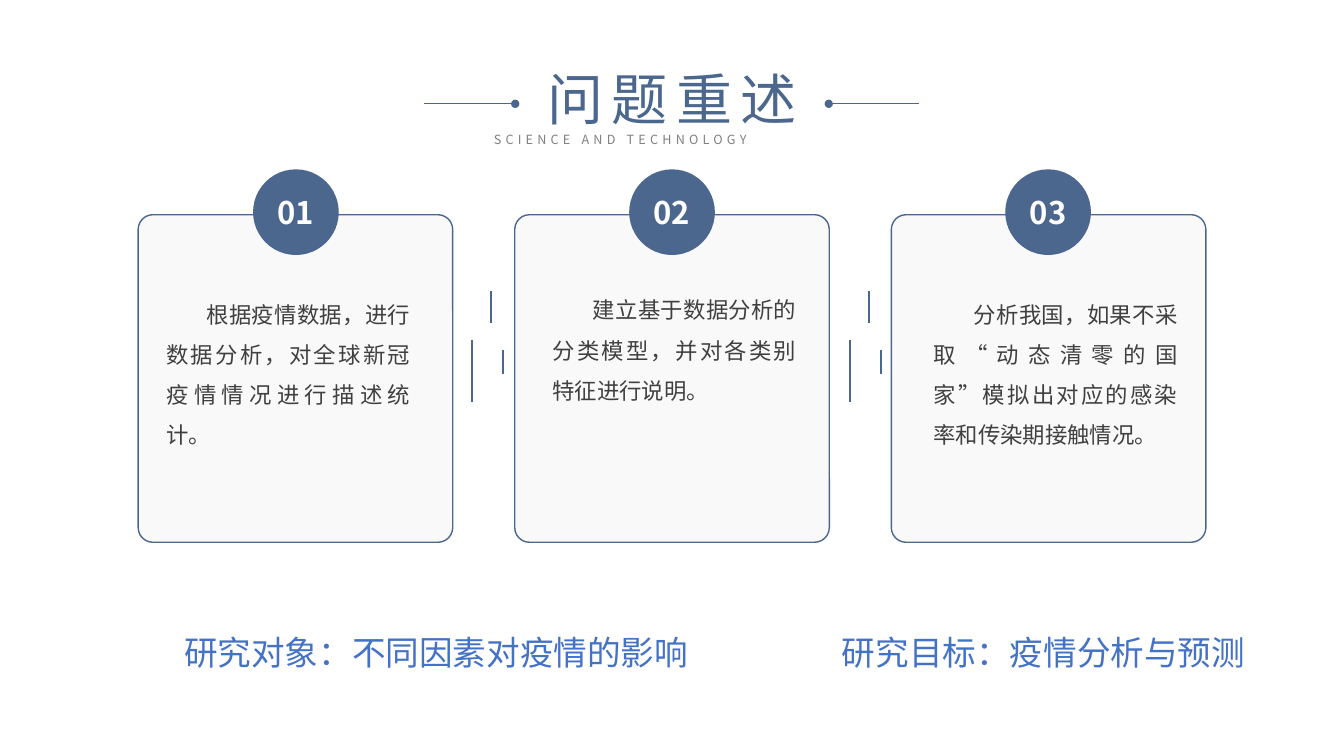
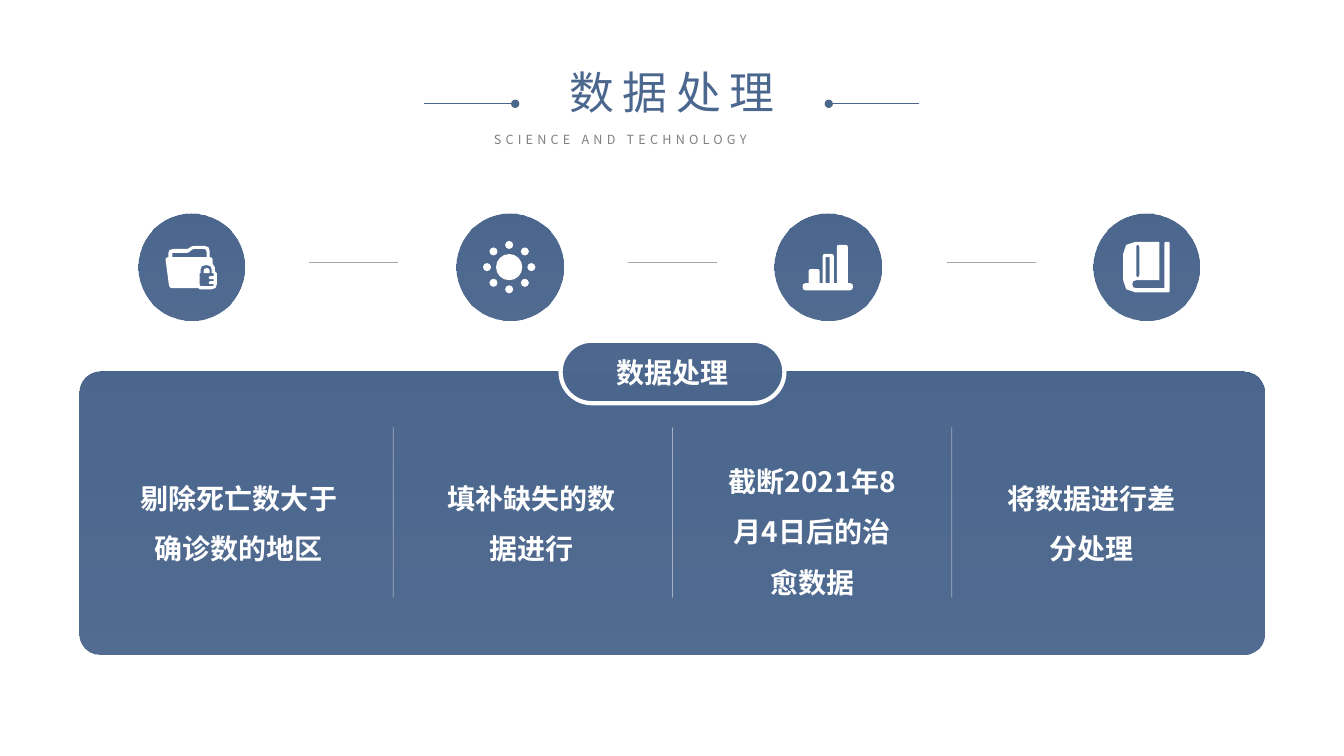
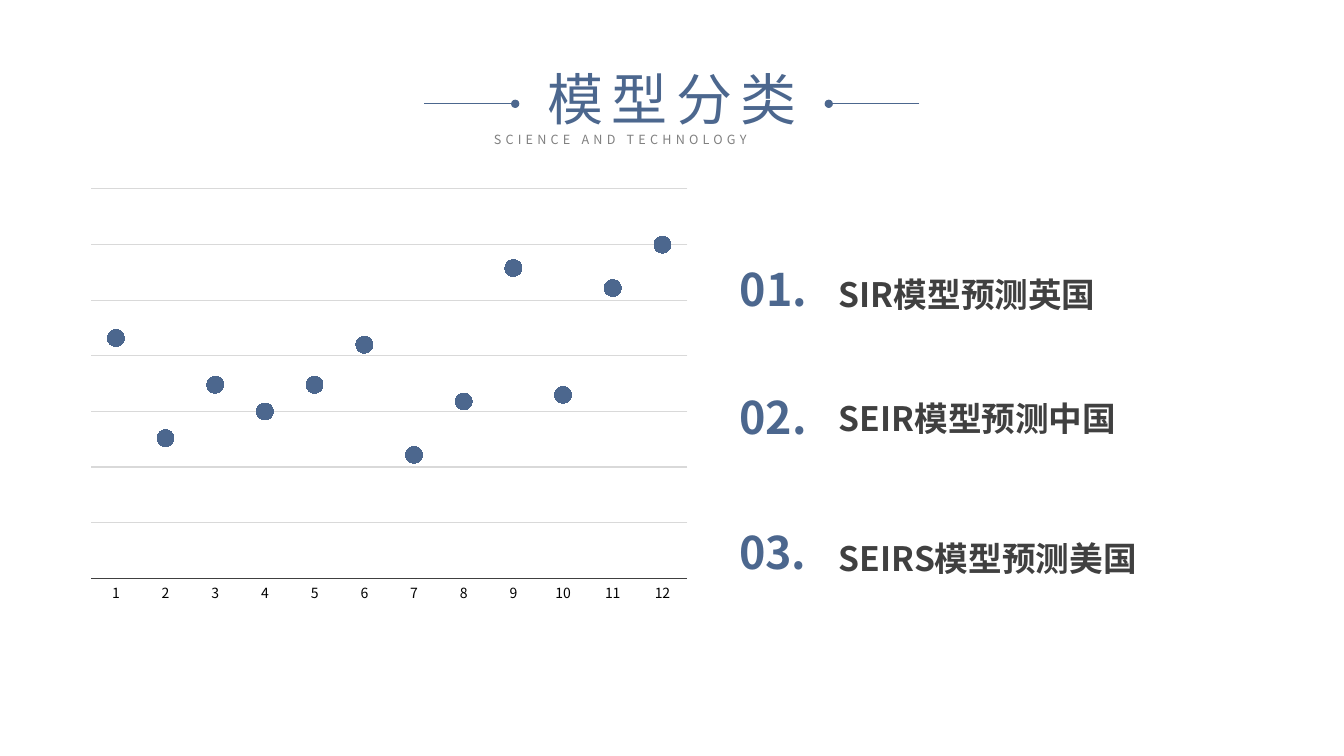
from math import cos, hypot, pi, sin

from pptx import Presentation
from pptx.chart.data import CategoryChartData
from pptx.dml.color import RGBColor
from pptx.enum.chart import XL_CHART_TYPE as ChartType
from pptx.enum.chart import XL_MARKER_STYLE as Marker
from pptx.enum.chart import XL_TICK_LABEL_POSITION as LabelPosition
from pptx.enum.chart import XL_TICK_MARK as TickMark
from pptx.enum.shapes import MSO_CONNECTOR as Connector
from pptx.enum.shapes import MSO_SHAPE as Shape
from pptx.enum.text import MSO_ANCHOR as Anchor
from pptx.enum.text import MSO_AUTO_SIZE as AutoSize
from pptx.enum.text import PP_ALIGN as Align
from pptx.oxml.ns import qn
from pptx.util import Inches, Pt

FONT = "Noto Sans CJK SC"
NAVY = "4C678E"
BLUE = "4472C4"
DARK = "404040"
GRAY = "808080"
WHITE = "FFFFFF"
TITLE_ONLY = 5


def color(hex_string):
    return RGBColor.from_string(hex_string)


def lengths(*values):
    return [Inches(value) for value in values]


def set_alpha(color_element, percent):
    alpha = color_element.makeelement(qn("a:alpha"), {"val": str(percent * 1000)})
    color_element.append(alpha)


def write(frame, spans, size, hex_string, bold=False, align=Align.CENTER,
          spacing=None, tracking=0, indent=0, anchor=Anchor.TOP, wrap=True, inset=True):
    frame.auto_size = AutoSize.NONE
    frame.word_wrap = wrap
    frame.vertical_anchor = anchor
    if not inset:
        frame.margin_left = frame.margin_right = 0
        frame.margin_top = frame.margin_bottom = 0
    para = frame.paragraphs[0]
    para.alignment = align
    if spacing:
        para.line_spacing = spacing
    if indent:
        layout = para._p.get_or_add_pPr()
        layout.set("indent", str(Inches(indent)))
        layout.set("hangingPunct", "0")
    for text, span_size in [(spans, size)] if isinstance(spans, str) else spans:
        span = para.add_run()
        span.text = text
        font = span.font
        font.size = Pt(span_size)
        font.bold = bold
        font.color.rgb = color(hex_string)
        font.name = FONT
        properties = span._r.get_or_add_rPr()
        if tracking:
            properties.set("spc", str(tracking * 100))
        properties.append(properties.makeelement(qn("a:ea"), {"typeface": FONT}))


def add_text(page, place, spans, size, hex_string, **style):
    box = page.shapes.add_textbox(*lengths(*place))
    write(box.text_frame, spans, size, hex_string, **style)


def add_panel(page, kind, place, fill, alpha=None, gradient=False,
              line=None, width=1, corner=None):
    panel = page.shapes.add_shape(kind, *lengths(*place))
    panel.shadow.inherit = False
    if corner is not None:
        panel.adjustments[0] = corner
    if gradient:
        panel.fill.gradient()
        panel.fill.gradient_angle = 270
        for stop in panel.fill.gradient_stops:
            stop.color.rgb = color(fill)
    else:
        panel.fill.solid()
        panel.fill.fore_color.rgb = color(fill)
    fill_colors = list(panel._element.spPr.iter(qn("a:srgbClr")))
    if alpha:
        set_alpha(fill_colors[-1], alpha)
    if line:
        panel.line.color.rgb = color(line)
        panel.line.width = Pt(width)
    else:
        panel.line.fill.background()
    return panel


def add_line(page, start, end, hex_string, width, alpha=None, dot=False):
    line = page.shapes.add_connector(Connector.STRAIGHT, *lengths(*start, *end))
    line.line.color.rgb = color(hex_string)
    line.line.width = Pt(width)
    properties = line._element.spPr
    if alpha:
        set_alpha(next(properties.iter(qn("a:srgbClr"))), alpha)
    if dot:
        outline = properties.find(qn("a:ln"))
        outline.append(outline.makeelement(qn("a:tailEnd"), {"type": "oval"}))
    properties.append(properties.makeelement(qn("a:effectLst"), {}))


def add_header(page, title, size):
    heading = page.shapes.title
    heading.left, heading.top, heading.width, heading.height = lengths(5.16, 0.59, 3.01, 0.77)
    write(heading.text_frame, title, size, NAVY, tracking=6)
    add_text(page, (4.8, 1.26, 3.74, 0.25), "SCIENCE AND TECHNOLOGY", 9, GRAY,
             align=Align.JUSTIFY, tracking=3)
    for outer, inner in ((4.21, 5.11), (9.12, 8.22)):
        add_line(page, (outer, 1.03), (inner, 1.03), NAVY, 0.5, dot=True)


def rounded(corners):
    points = []
    for index, (x, y, radius) in enumerate(corners):
        if not radius:
            points.append((x, y))
            continue
        ends = []
        for near_x, near_y, _ in (corners[index - 1], corners[(index + 1) % len(corners)]):
            side = hypot(near_x - x, near_y - y)
            share = min(radius / side, 0.5)
            ends.append((x + (near_x - x) * share, y + (near_y - y) * share))
        (ax, ay), (bx, by) = ends
        points += [(ax, ay), ((ax + 2 * x + bx) / 4, (ay + 2 * y + by) / 4), (bx, by)]
    return points


def circle(x, y, radius, steps):
    angles = [2 * pi * step / steps for step in range(steps)]
    return [(x + radius * cos(angle), y + radius * sin(angle)) for angle in angles]


def add_icon(page, contours):
    builder = None
    for contour in contours:
        first, *rest = [lengths(*point) for point in contour]
        if builder is None:
            builder = page.shapes.build_freeform(*first, scale=1.0)
        else:
            builder.move_to(*first)
        builder.add_line_segments(rest, close=True)
    icon = builder.convert_to_shape()
    icon.shadow.inherit = False
    icon.fill.solid()
    icon.fill.fore_color.rgb = color(WHITE)
    icon.line.fill.background()


def folder_icon():
    folder = [(1.67, 2.55, 0), (1.67, 2.47, 0.05), (1.87, 2.47, 0.02), (1.9, 2.44, 0.03),
              (2.08, 2.44, 0.05), (2.08, 2.55, 0), (2.11, 2.56, 0.02), (2.11, 2.62, 0),
              (2.13, 2.65, 0), (2.13, 2.69, 0), (2.15, 2.71, 0), (2.15, 2.87, 0.05),
              (1.98, 2.87, 0), (1.97, 2.86, 0), (1.68, 2.86, 0.03), (1.64, 2.56, 0.02)]
    flap = [(1.71, 2.55, 0), (1.71, 2.51, 0), (1.87, 2.51, 0.02),
            (1.91, 2.47, 0.02), (2.05, 2.47, 0.03), (2.05, 2.55, 0)]
    lock = [(1.98, 2.71, 0), (1.99, 2.71, 0), (1.99, 2.63, 0.06), (2.1, 2.63, 0.06),
            (2.1, 2.71, 0), (2.12, 2.71, 0), (2.12, 2.74, 0), (2.07, 2.74, 0.02),
            (2.07, 2.77, 0.02), (2.12, 2.77, 0), (2.12, 2.79, 0), (2.07, 2.79, 0.02),
            (2.07, 2.82, 0.02), (2.12, 2.82, 0), (2.12, 2.84, 0.02), (1.98, 2.84, 0.02)]
    shackle = [(2.02, 2.71, 0), (2.02, 2.66, 0.03), (2.08, 2.66, 0.03), (2.08, 2.71, 0)]
    return [rounded(part) for part in (folder, flap, lock, shackle)]


def sun_icon():
    x, y = 5.05, 2.65
    rays = [circle(x + 0.22 * cos(turn * pi / 4), y + 0.22 * sin(turn * pi / 4), 0.04, 8)
            for turn in range(8)]
    return [circle(x, y, 0.13, 16)] + rays


def bars_icon():
    outline = [(7.96, 2.81, 0.03)]
    for left, top in ((8.02, 2.67), (8.16, 2.52), (8.3, 2.43)):
        right = left + 0.11
        outline += [(left, 2.81, 0), (left, top, 0.02), (right, top, 0.02), (right, 2.81, 0)]
    outline += [(8.46, 2.81, 0.03), (8.46, 2.88, 0.03), (7.96, 2.88, 0.03)]
    slot = [(8.19, 2.55, 0), (8.23, 2.55, 0), (8.23, 2.81, 0), (8.19, 2.81, 0)]
    return [rounded(outline), rounded(slot)]


def book_icon():
    cover = [(11.6, 2.4, 0.01), (11.55, 2.4, 0.01), (11.55, 2.86, 0), (11.23, 2.86, 0.04),
             (11.23, 2.78, 0.04), (11.5, 2.78, 0.01), (11.5, 2.4, 0.01), (11.14, 2.4, 0.12),
             (11.14, 2.9, 0.12), (11.6, 2.9, 0.01)]
    spine = [(11.27, 2.43, 0.02), (11.3, 2.43, 0.02), (11.3, 2.75, 0.02), (11.27, 2.75, 0.02)]
    return [rounded(cover), rounded(spine)]


def build_problem(page):
    add_header(page, "问题重述", 40)
    cards = [
        (1.65, 2.85, 1.57, "根据疫情数据，进行数据分析，对全球新冠疫情情况进行描述统计。"),
        (5.48, 2.81, 1.16, "建立基于数据分析的分类模型，并对各类别特征进行说明。"),
        (9.26, 2.85, 1.57, "分析我国，如果不采取“动态清零的国家”模拟出对应的感染率和传染期接触情况。"),
    ]
    for index, (text_left, text_top, text_height, text) in enumerate(cards):
        add_panel(page, Shape.ROUNDED_RECTANGLE, (1.37 + 3.735 * index, 2.13, 3.12, 3.25),
                  "F2F2F2", alpha=44, line=NAVY, corner=0.047)
        badge = add_panel(page, Shape.OVAL, (2.51 + 3.73 * index, 1.68, 0.85, 0.85), NAVY)
        write(badge.text_frame, f"{index + 1:02}", 22.2, WHITE, bold=True, anchor=Anchor.MIDDLE)
        add_text(page, (text_left, text_top, 2.42, text_height), text, 16, DARK,
                 align=Align.JUSTIFY, spacing=1.5, indent=0.4, inset=False)
    for shift in (0, 3.75):
        for x, top, bottom in ((4.87, 2.89, 3.2), (4.99, 3.47, 3.71), (4.68, 3.37, 3.99)):
            add_line(page, (x + shift, top), (x + shift, bottom), NAVY, 1)
    for left, width, text in ((1.7, 5.25, "研究对象：不同因素对疫情的影响"),
                              (8.23, 4.24, "研究目标：疫情分析与预测")):
        add_text(page, (left, 6.22, width, 0.5), text, 24, BLUE, wrap=False)


def build_processing(page):
    add_header(page, "数据处理", 32)
    add_panel(page, Shape.ROUNDED_RECTANGLE, (0.79, 3.69, 11.75, 2.8), NAVY,
              alpha=97, gradient=True, corner=0.074)
    steps = [
        (1.29, 4.56, 2.16, 1.05, "剔除死亡数大于确诊数的地区"),
        (4.33, 4.56, 1.89, 1.05, "填补缺失的数据进行"),
        (7.11, 4.39, 1.89, 1.56, "截断2021年8月4日后的治愈数据"),
        (9.88, 4.56, 1.89, 1.05, "将数据进行差分处理"),
    ]
    for *place, text in steps:
        add_text(page, place, text, 20, WHITE, bold=True, spacing=1.5)
    for index in range(len(steps) - 1):
        divider = 3.9 + 2.77 * index
        add_line(page, (divider, 4.24), (divider, 5.93), WHITE, 0.5, alpha=47)
        link = 3.06 + 3.165 * index
        add_line(page, (link, 2.6), (link + 0.89, 2.6), "A6A6A6", 0.5)
    pill = add_panel(page, Shape.ROUNDED_RECTANGLE, (5.56, 3.38, 2.22, 0.62), NAVY,
                     alpha=97, gradient=True, line=WHITE, width=3, corner=0.5)
    write(pill.text_frame, "数据处理", 20, WHITE, bold=True, anchor=Anchor.MIDDLE)
    for index, icon in enumerate((folder_icon, sun_icon, bars_icon, book_icon)):
        add_panel(page, Shape.OVAL, (1.37 + 3.157 * index, 2.12, 1.06, 1.06), NAVY,
                  alpha=97, gradient=True)
        add_icon(page, icon())


def add_dot_chart(page):
    data = CategoryChartData()
    data.categories = [str(number) for number in range(1, 13)]
    data.add_series("Series 1", (72, 42, 58, 50, 58, 70, 37, 53, 93, 55, 87, 100))
    chart = page.shapes.add_chart(ChartType.LINE_MARKERS,
                                  *lengths(0.78, 1.79, 6.16, 4.27), data).chart
    chart.has_legend = False
    chart.has_title = False
    chart.font.size = Pt(10)
    chart.font.name = FONT
    chart.font.color.rgb = color("000000")
    chart.plots[0].vary_by_categories = False

    series = chart.plots[0].series[0]
    series.smooth = False
    series.format.line.fill.background()
    series.marker.style = Marker.CIRCLE
    series.marker.size = 12
    series.marker.format.fill.solid()
    series.marker.format.fill.fore_color.rgb = color(NAVY)
    series.marker.format.line.fill.background()

    categories = chart.category_axis
    categories.major_tick_mark = TickMark.NONE
    categories.format.line.color.rgb = color(DARK)
    categories.format.line.width = Pt(0.75)

    values = chart.value_axis
    values.visible = False
    values.tick_label_position = LabelPosition.NONE
    values.minimum_scale = 0
    values.maximum_scale = 116.69
    values.major_unit = 16.67
    values.has_major_gridlines = True
    values.major_gridlines.format.line.color.rgb = color("D9D9D9")
    values.major_gridlines.format.line.width = Pt(0.75)


def build_models(page):
    add_header(page, "模型分类", 40)
    add_dot_chart(page)
    models = [
        ((7.42, 2.59, 0.5, 0.54), [("0", 32), (" ", 1), ("1.", 32)],
         (8.32, 2.52, 4.24, 0.53), "SIR模型预测英国"),
        ((7.42, 3.86, 0.5, 0.54), "02.", (8.32, 3.75, 4.24, 0.53), "SEIR模型预测中国"),
        ((7.35, 5.13, 0.63, 0.68), "03.", (8.32, 5.14, 3.82, 0.53), "SEIRS模型预测美国"),
    ]
    for number_place, number, name_place, name in models:
        add_text(page, number_place, number, 32, NAVY, bold=True,
                 anchor=Anchor.MIDDLE, wrap=False, inset=False)
        add_text(page, name_place, name, 24, DARK, bold=True,
                 align=Align.JUSTIFY, spacing=1.5, inset=False)


def main():
    deck = Presentation()
    deck.slide_width, deck.slide_height = lengths(13.33, 7.5)
    for build in (build_problem, build_processing, build_models):
        build(deck.slides.add_slide(deck.slide_layouts[TITLE_ONLY]))
    deck.save("out.pptx")


if __name__ == "__main__":
    main()
